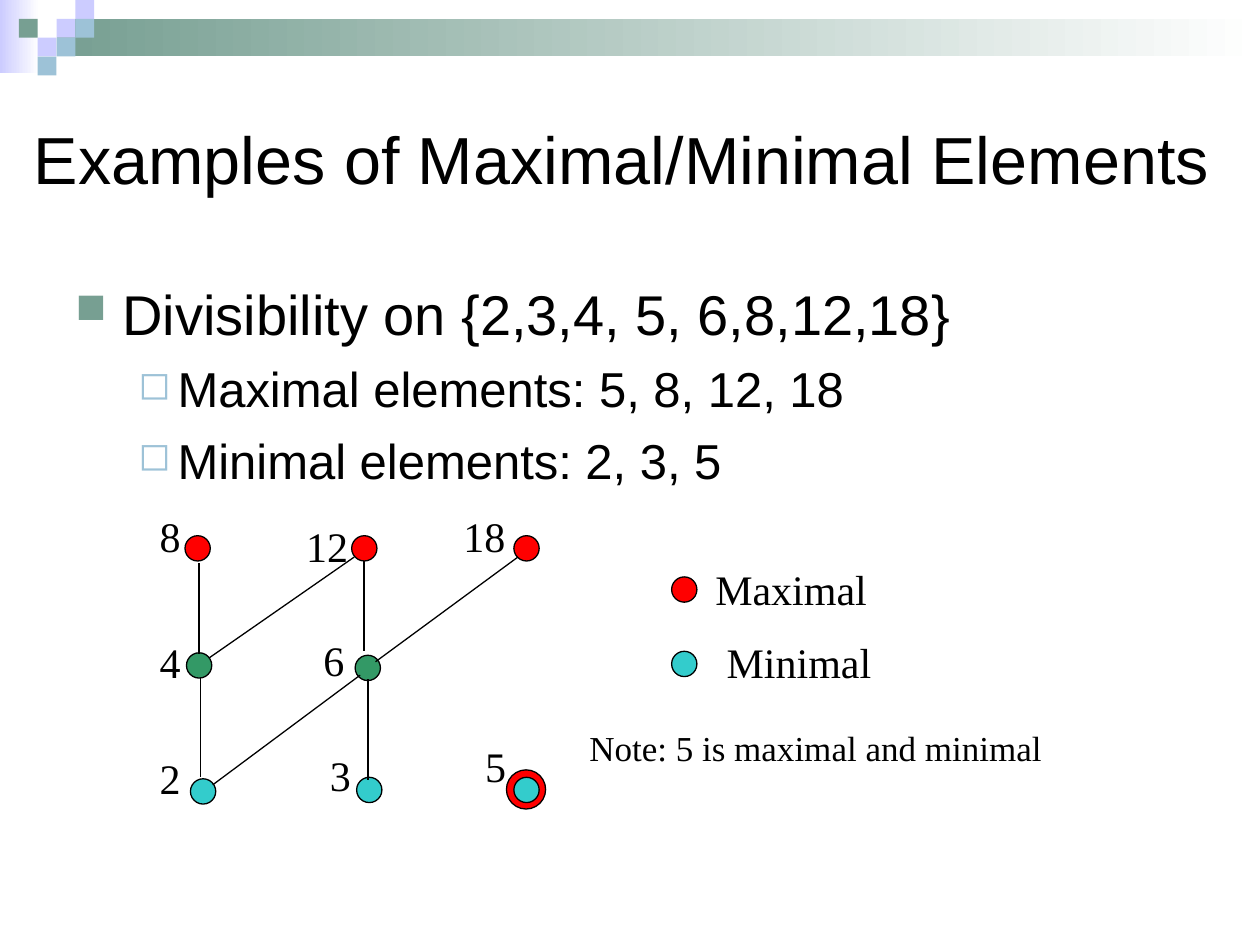
"""Build a slide on maximal and minimal elements with a Hasse diagram."""
import pptx
import pptx.dml.color
import pptx.enum.shapes
import pptx.enum.text
import pptx.oxml
import pptx.oxml.ns
import pptx.util

Cm = pptx.util.Cm
Pt = pptx.util.Pt
SHAPE = pptx.enum.shapes.MSO_SHAPE
ANCHOR = pptx.enum.text.MSO_ANCHOR

COLOURS = {
    "ink": "000000",
    "paper": "FFFFFF",
    "lavender": "CCCCFF",
    "sage": "779F92",
    "sky": "9DC2D7",
    "maximal": "FF0000",
    "middle": "339966",
    "minimal": "33CCCC",
}
HEADING = {"name": "Arial", "size": Pt(38)}
TOPIC = {"name": "Arial", "size": Pt(32)}
DETAIL = {"name": "Arial", "size": Pt(28)}
LABEL = {"name": "Times New Roman", "size": Pt(24)}
NOTE = {"name": "Times New Roman", "size": Pt(20)}
TOPIC_BULLET = {"char": "■", "colour": "sage", "percent": 75, "margin": 0.95, "hang": 0.95}
DETAIL_BULLET = {"char": "◻", "colour": "sky", "percent": 80, "margin": 2.06, "hang": 0.79}

TILE = 0.38
DOT = 0.51
RING = 0.79
LABEL_HEIGHT = 1.27

BARS = [("lavender", 0, 0, 0.79, 1.47), ("sage", 1.14, 0.38, 24.26, 0.76)]
TILES = [
    ("lavender", 3, 1), ("lavender", 4, 0), ("sky", 4, 1), ("lavender", 2, 2),
    ("sage", 1, 1), ("sky", 3, 2), ("sky", 2, 3),
]
STATEMENTS = [
    ("Divisibility on {2,3,4, 5, 6,8,12,18}", TOPIC, TOPIC_BULLET, 0),
    ("Maximal elements: 5, 8, 12, 18", DETAIL, DETAIL_BULLET, 7),
    ("Minimal elements: 2, 3, 5", DETAIL, DETAIL_BULLET, 7),
]
NODES = [
    ("maximal", 3.73, 10.8), ("maximal", 7.09, 10.8), ("maximal", 10.36, 10.8),
    ("middle", 3.76, 13.16), ("middle", 7.16, 13.21),
    ("minimal", 3.84, 15.7), ("minimal", 7.19, 15.67), ("minimal", 10.36, 15.67),
    ("maximal", 13.54, 11.63), ("minimal", 13.54, 13.13),
]
EDGES = [
    (4.01, 11.35, 4.01, 13.18), (7.34, 11.3, 7.34, 13.13),
    (4.04, 13.67, 4.04, 15.67), (7.42, 13.69, 7.42, 15.72),
    (4.22, 13.26, 7.14, 11.23), (7.57, 13.34, 10.44, 11.23),
    (4.29, 15.82, 7.26, 13.61),
]
LABELS = [
    ("8", 2.97, 10.16, 2.54, LABEL), ("4", 2.97, 12.7, 1.9, LABEL),
    ("2", 2.97, 15.04, 1.7, LABEL), ("12", 5.92, 10.36, 2.74, LABEL),
    ("6", 6.27, 12.67, 1.7, LABEL), ("3", 6.4, 14.99, 1.07, LABEL),
    ("18", 9.09, 10.16, 2.54, LABEL), ("5", 9.53, 14.81, 1.27, LABEL),
    ("Maximal", 14.17, 11.23, 6.78, LABEL), ("Minimal", 14.4, 12.7, 6.78, LABEL),
    ("Note: 5 is maximal and minimal", 11.63, 14.53, 11, NOTE),
]


def colour(name):
    """Return the named colour."""
    return pptx.dml.color.RGBColor.from_string(COLOURS[name])


def add_plain_shape(page, kind, left, top, width, height):
    """Add a preset shape without shadow or outline."""
    shape = page.shapes.add_shape(kind, Cm(left), Cm(top), Cm(width), Cm(height))
    shape.shadow.inherit = False
    shape.line.fill.background()
    return shape


def add_bar(page, tint, left, top, width, height):
    """Add a bar that fades to white on its right."""
    bar = add_plain_shape(page, SHAPE.RECTANGLE, left, top, width, height)
    bar.fill.gradient()
    bar.fill.gradient_angle = 0
    for stop, name in zip(bar.fill.gradient_stops, (tint, "paper")):
        stop.color.rgb = colour(name)


def add_tile(page, tint, column, row):
    """Add a square on the corner grid."""
    tile = add_plain_shape(page, SHAPE.RECTANGLE, column * TILE, row * TILE, TILE, TILE)
    tile.fill.solid()
    tile.fill.fore_color.rgb = colour(tint)


def add_node(page, tint, left, top, size=DOT):
    """Add an outlined circle."""
    node = add_plain_shape(page, SHAPE.OVAL, left, top, size, size)
    node.fill.solid()
    node.fill.fore_color.rgb = colour(tint)
    node.line.color.rgb = colour("ink")
    node.line.width = Pt(0.75)


def add_edge(page, *ends):
    """Add a thin straight line between two points."""
    straight = pptx.enum.shapes.MSO_CONNECTOR.STRAIGHT
    edge = page.shapes.add_connector(straight, *map(Cm, ends))
    edge.line.color.rgb = colour("ink")
    edge.line.width = Pt(0.75)
    properties = edge._element.spPr
    properties.append(pptx.oxml.parse_xml(f'<a:effectLst {pptx.oxml.ns.nsdecls("a")}/>'))


def set_bullet(paragraph, bullet):
    """Give a paragraph a coloured bullet and a hanging indent."""
    properties = paragraph._p.get_or_add_pPr()
    properties.set("marL", str(Cm(bullet["margin"])))
    properties.set("indent", str(-Cm(bullet["hang"])))
    namespace = pptx.oxml.ns.nsdecls("a")
    for xml in (
        f'<a:buClr {namespace}><a:srgbClr val="{COLOURS[bullet["colour"]]}"/></a:buClr>',
        f'<a:buSzPct {namespace} val="{bullet["percent"] * 1000}"/>',
        f'<a:buChar {namespace} char="{bullet["char"]}"/>',
    ):
        properties.append(pptx.oxml.parse_xml(xml))


def write(paragraph, words, style):
    """Write styled words into a paragraph."""
    span = paragraph.add_run()
    span.text = words
    for name, value in style.items():
        setattr(span.font, name, value)
    span.font.color.rgb = colour("ink")


def add_box(page, left, top, width, height, anchor=ANCHOR.TOP):
    """Add a wrapping text box and return its text frame."""
    box = page.shapes.add_textbox(Cm(left), Cm(top), Cm(width), Cm(height))
    box.text_frame.word_wrap = True
    box.text_frame.vertical_anchor = anchor
    return box.text_frame


def add_label(page, words, left, top, width, style):
    """Add a one-line label."""
    write(add_box(page, left, top, width, LABEL_HEIGHT).paragraphs[0], words, style)


def add_statements(page):
    """Add the bulleted statements."""
    frame = add_box(page, 1.27, 5.51, 22.86, 10.8)
    for index, (words, style, bullet, gap) in enumerate(STATEMENTS):
        paragraph = frame.add_paragraph() if index else frame.paragraphs[0]
        paragraph.level = 1 if bullet is DETAIL_BULLET else 0
        paragraph.space_before = Pt(gap)
        set_bullet(paragraph, bullet)
        write(paragraph, words, style)


def main():
    """Build and save the deck."""
    deck = pptx.Presentation()
    deck.slide_width, deck.slide_height = Cm(25.4), Cm(19.05)
    page = deck.slides.add_slide(deck.slide_layouts[6])
    for bar in BARS:
        add_bar(page, *bar)
    for tile in TILES:
        add_tile(page, *tile)
    title = add_box(page, 0.43, 2.26, 24.46, 1.85, ANCHOR.MIDDLE)
    write(title.paragraphs[0], "Examples of Maximal/Minimal Elements", HEADING)
    add_statements(page)
    add_node(page, "maximal", 10.21, 15.52, RING)
    for node in NODES:
        add_node(page, *node)
    for edge in EDGES:
        add_edge(page, *edge)
    for label in LABELS:
        add_label(page, *label)
    deck.save("out.pptx")


if __name__ == "__main__":
    main()
